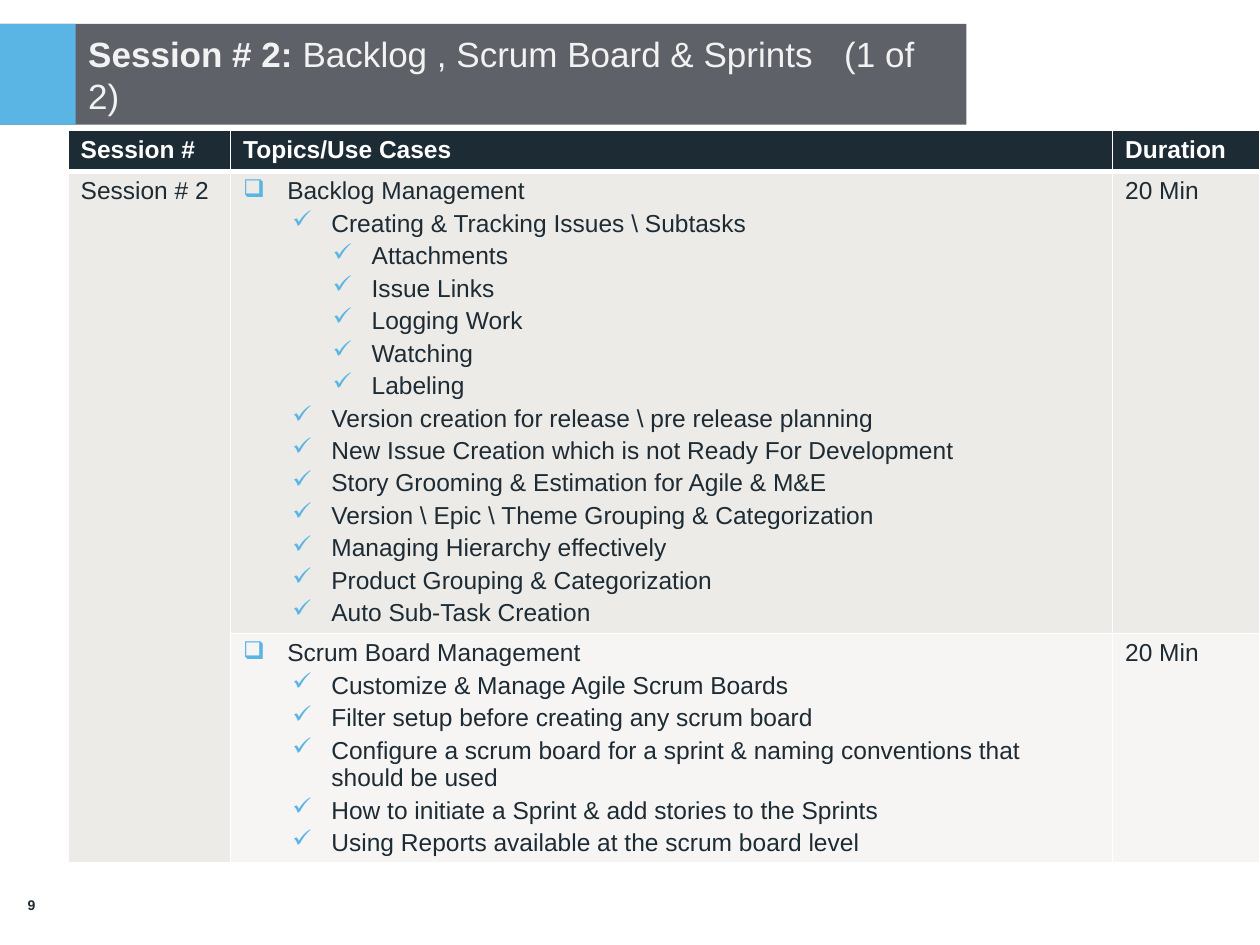
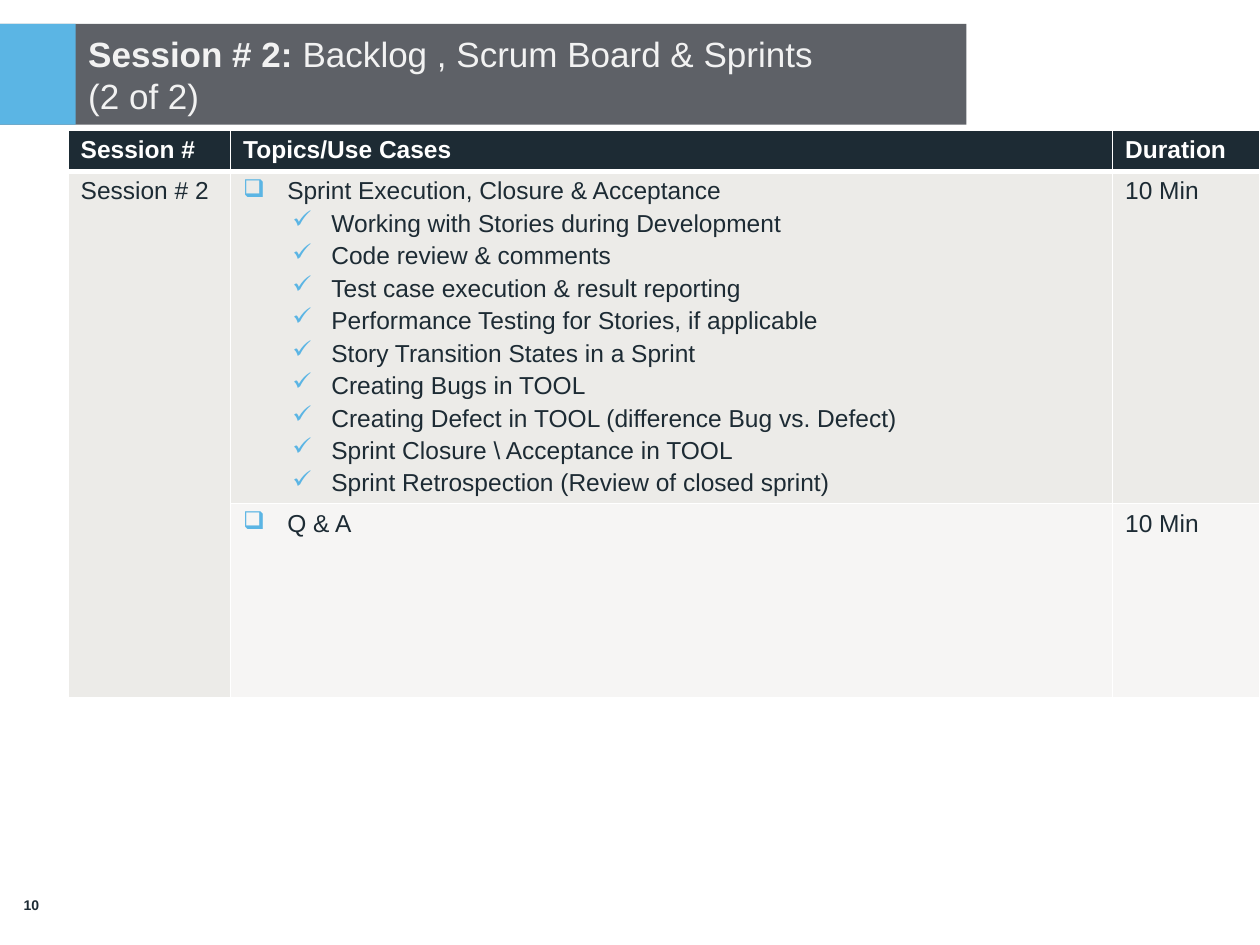
import pptx
import pptx.util
import pptx.dml.color
import pptx.enum.shapes
import pptx.enum.text
import pptx.oxml
import pptx.oxml.ns

Inches = pptx.util.Inches
Pt = pptx.util.Pt
RGBColor = pptx.dml.color.RGBColor

WHITE = RGBColor(0xFF, 0xFF, 0xFF)
TITLE_TEXT = RGBColor(0xF2, 0xF2, 0xF2)
NAVY = RGBColor(0x1D, 0x2B, 0x34)
GREY_BAND = RGBColor(0x5E, 0x61, 0x67)
SKY = RGBColor(0x5B, 0xB5, 0xE4)
ROW_DARK = RGBColor(0xEC, 0xEB, 0xE8)
ROW_LIGHT = RGBColor(0xF6, 0xF5, 0xF4)

FONT = "Arial"
BAND_TOP, BAND_HEIGHT = 0.19, 0.8
BAND_WIDTH, ACCENT_WIDTH = 7.67, 0.6
COLUMN_WIDTHS = (1.29, 7, 1.17)
ROW_HEIGHTS = (0.33, 1.31, 1.54)  # minimum heights, rows grow with their text
HEADERS = ("Session #", "Topics/Use Cases", "Duration")
# Bullet character, left indent and first-line indent for each outline level
LEVELS = (("\u2751", 0.35, -0.35), ("\u2713", 0.7, -0.31), ("\u2713", 1.02, -0.31))

# Each topic is (outline level, text)
SLIDES = (
    {
        "number": "9",
        "title": (" Backlog , Scrum Board & Sprints\t(1 of 2)",),
        "table_height": 6.27,
        "blocks": (
            ("20 Min", (
                (0, "Backlog Management"),
                (1, "Creating & Tracking Issues \\ Subtasks"),
                (2, "Attachments"),
                (2, "Issue Links"),
                (2, "Logging Work"),
                (2, "Watching"),
                (2, "Labeling"),
                (1, "Version creation for release \\ pre release planning"),
                (1, "New Issue Creation which is not Ready For Development"),
                (1, "Story Grooming & Estimation for Agile & M&E"),
                (1, "Version \\ Epic \\ Theme Grouping & Categorization"),
                (1, "Managing Hierarchy effectively"),
                (1, "Product Grouping & Categorization"),
                (1, "Auto Sub-Task Creation"),
            )),
            ("20 Min", (
                (0, "Scrum Board Management"),
                (1, "Customize & Manage Agile Scrum Boards"),
                (1, "Filter setup before creating any scrum board"),
                (1, "Configure a scrum board for a sprint & naming conventions "
                    "that should be used"),
                (1, "How to initiate a Sprint & add stories to the Sprints"),
                (1, "Using Reports available at the scrum board level"),
            )),
        ),
    },
    {
        "number": "10",
        "title": (" Backlog , Scrum Board & Sprints", "(2 of 2)"),
        "table_height": 4.73,
        "blocks": (
            ("10 Min", (
                (0, "Sprint Execution, Closure & Acceptance"),
                (1, "Working with Stories during Development"),
                (1, "Code review & comments"),
                (1, "Test case execution & result reporting"),
                (1, "Performance Testing for Stories, if applicable"),
                (1, "Story Transition States in a Sprint"),
                (1, "Creating Bugs in TOOL"),
                (1, "Creating Defect in TOOL (difference Bug vs. Defect)"),
                (1, "Sprint Closure \\ Acceptance in TOOL"),
                (1, "Sprint Retrospection (Review of closed sprint)"),
            )),
            ("10 Min", ((0, "Q & A"),)),
        ),
    },
)


def add_run(paragraph, text, size, color, bold=False):
    run = paragraph.add_run()
    run.text = text
    run.font.color.rgb = color
    for name, value in {"name": FONT, "size": Pt(size), "bold": bold}.items():
        setattr(run.font, name, value)


def add_xml(parent, xml):
    """Append one element in the drawing namespace."""
    tag, rest = xml.split(" ", 1)
    namespace = pptx.oxml.ns.nsdecls("a")
    parent.append(pptx.oxml.parse_xml(f"{tag} {namespace} {rest}"))


def add_layout_bands(slide, layout):
    """Draw the title bands and place them behind the layout's placeholders."""
    bands = ((BAND_WIDTH, GREY_BAND), (ACCENT_WIDTH, SKY))
    for index, (width, color) in enumerate(bands):
        band = slide.shapes.add_shape(
            pptx.enum.shapes.MSO_SHAPE.RECTANGLE,
            0, Inches(BAND_TOP), Inches(width), Inches(BAND_HEIGHT))
        band.shadow.inherit = False
        band.fill.solid()
        band.fill.fore_color.rgb = color
        band.line.fill.background()
        band.element.xpath("./p:nvSpPr/p:cNvPr")[0].set("id", str(20 + index))
        layout.shapes.element.insert(2 + index, band.element)


def set_title(slide, lines):
    title = slide.shapes.title
    box = {"left": ACCENT_WIDTH, "top": BAND_TOP,
           "width": BAND_WIDTH - ACCENT_WIDTH, "height": BAND_HEIGHT}
    for name, value in box.items():
        setattr(title, name, Inches(value))
    frame = title.text_frame
    frame_format = {
        "margin_left": Inches(0.1), "margin_right": Inches(0.1),
        "margin_top": Inches(0.01), "margin_bottom": Inches(0.01),
        "vertical_anchor": pptx.enum.text.MSO_ANCHOR.MIDDLE,
        "auto_size": pptx.enum.text.MSO_AUTO_SIZE.NONE, "word_wrap": True,
    }
    for name, value in frame_format.items():
        setattr(frame, name, value)
    paragraph = frame.paragraphs[0]
    paragraph.alignment = pptx.enum.text.PP_ALIGN.LEFT
    add_run(paragraph, "Session # 2:", 20, TITLE_TEXT, bold=True)
    for index, line in enumerate(lines):
        if index:
            paragraph.add_line_break()
        add_run(paragraph, line, 20, TITLE_TEXT)


def style_cell(cell, fill, top=1, bottom=1):
    """White borders (widths in points) and a plain fill."""
    properties = cell._tc.get_or_add_tcPr()
    for side, width in (("L", 1), ("R", 1), ("T", top), ("B", bottom)):
        add_xml(properties, f'<a:ln{side} w="{Pt(width)}"><a:solidFill>'
                f'<a:srgbClr val="{WHITE}"/></a:solidFill></a:ln{side}>')
    cell.fill.solid()
    cell.fill.fore_color.rgb = fill


def write_cell(cell, text, color=NAVY, bold=False):
    add_run(cell.text_frame.paragraphs[0], text, 14, color, bold)


def write_topics(cell, topics):
    frame = cell.text_frame
    for index, (level, text) in enumerate(topics):
        paragraph = frame.add_paragraph() if index else frame.paragraphs[0]
        paragraph.level = level
        bullet, left, first_line = LEVELS[level]
        properties = paragraph._p.get_or_add_pPr()
        properties.set("marL", str(Inches(left)))
        properties.set("indent", str(Inches(first_line)))
        add_xml(properties, '<a:spcBef ><a:spcPct val="20000"/></a:spcBef>')
        add_xml(properties, f'<a:buClr ><a:srgbClr val="{SKY}"/></a:buClr>')
        add_xml(properties, f'<a:buChar char="{bullet}"/>')
        add_run(paragraph, text, 14, NAVY)


def add_agenda_table(slide, blocks, height):
    shape = slide.shapes.add_table(
        len(ROW_HEIGHTS), len(COLUMN_WIDTHS), Inches(0.54), Inches(1.03),
        Inches(sum(COLUMN_WIDTHS)), Inches(height))
    table = shape.table
    for column, width in zip(table.columns, COLUMN_WIDTHS):
        column.width = Inches(width)
    for row, row_height in zip(table.rows, ROW_HEIGHTS):
        row.height = Inches(row_height)
    shape.height = Inches(height)

    # Header row with a thick lower border
    for column, header in enumerate(HEADERS):
        cell = table.cell(0, column)
        style_cell(cell, NAVY, bottom=3)
        write_cell(cell, header, WHITE, bold=True)

    # One row per block; the session cell spans them all
    for row, (duration, topics) in enumerate(blocks, start=1):
        fill = ROW_DARK if row == 1 else ROW_LIGHT
        for column in range(len(HEADERS)):
            style_cell(table.cell(row, column), fill if column else ROW_DARK,
                       top=3 if row == 1 else 1)
        write_topics(table.cell(row, 1), topics)
        write_cell(table.cell(row, 2), duration)
    table.cell(1, 0).merge(table.cell(len(blocks), 0))
    write_cell(table.cell(1, 0), "Session # 2")


def add_page_number(slide, number):
    box = slide.shapes.add_textbox(0, Inches(6.86), Inches(0.5), Inches(0.64))
    frame = box.text_frame
    frame.word_wrap = True
    frame.vertical_anchor = pptx.enum.text.MSO_ANCHOR.MIDDLE
    paragraph = frame.paragraphs[0]
    paragraph.alignment = pptx.enum.text.PP_ALIGN.CENTER
    add_run(paragraph, number, 8, NAVY, bold=True)


def main():
    presentation = pptx.Presentation()
    presentation.slide_width = Inches(10)
    presentation.slide_height = Inches(7.5)
    layout = presentation.slide_layouts.get_by_name("Title Only")
    for index, content in enumerate(SLIDES):
        slide = presentation.slides.add_slide(layout)
        if index == 0:
            add_layout_bands(slide, layout)
        set_title(slide, content["title"])
        add_agenda_table(slide, content["blocks"], content["table_height"])
        add_page_number(slide, content["number"])
    presentation.save("out.pptx")


main()
